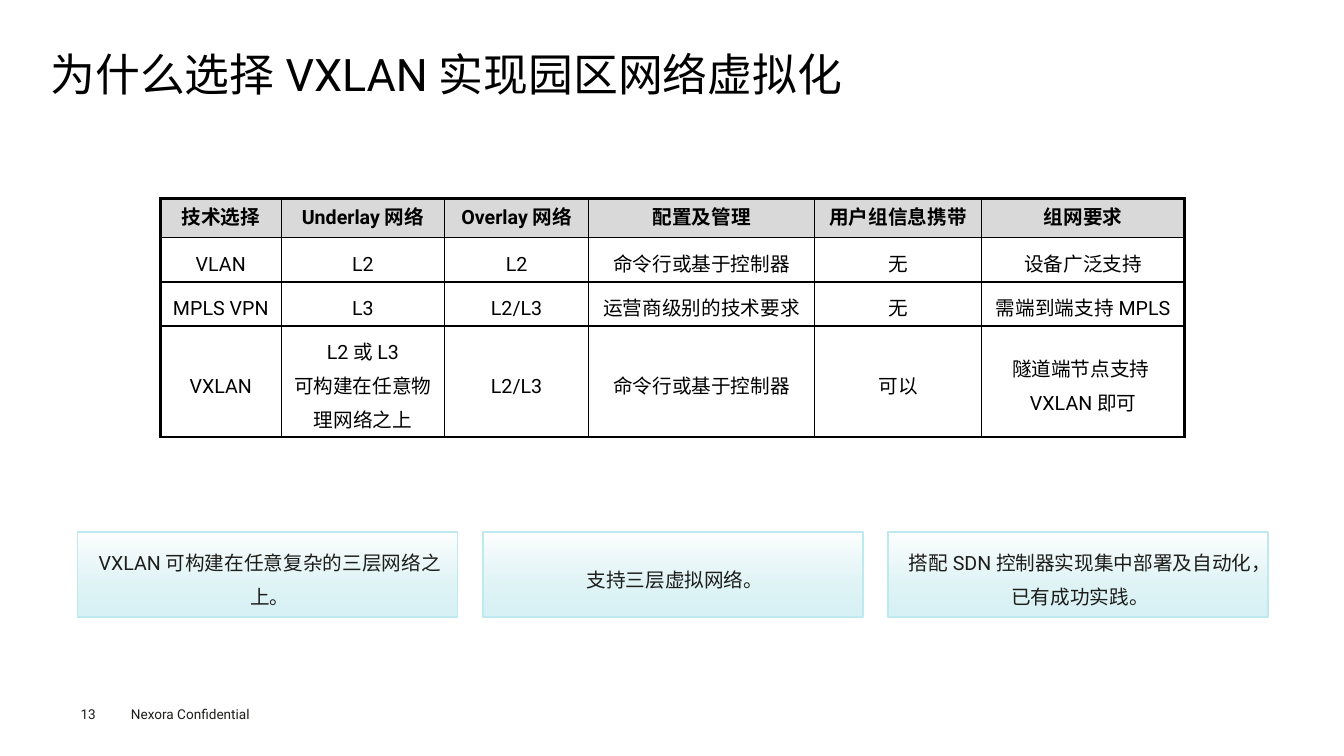
from dataclasses import dataclass

from lxml.etree import SubElement
from pptx import Presentation
from pptx.dml.color import RGBColor
from pptx.enum.lang import MSO_LANGUAGE_ID
from pptx.enum.shapes import MSO_SHAPE
from pptx.enum.text import MSO_ANCHOR, PP_ALIGN
from pptx.oxml.ns import qn
from pptx.slide import Slide
from pptx.table import _Cell
from pptx.text.text import TextFrame
from pptx.util import Inches, Pt

COLORS = {
    "black": "000000",
    "white": "FFFFFF",
    "header": "D9D9D9",
    "aqua": "BEE9EE",
    "body": "1D1D1A",
    "footer": "1D1D1B",
}
FONT = "Roboto"
SLIDE_WIDTH = Inches(13.33)
SLIDE_HEIGHT = Inches(7.5)
COLUMN_SHARES = [9, 12.15, 10.73, 16.8, 12.45, 15.08]
ROW_SHARES = [5.2, 5.83, 5.83, 14.67]
TABLE_ROWS = [
    ["技术选择", "Underlay网络", "Overlay网络", "配置及管理", "用户组信息携带", "组网要求"],
    ["VLAN", "L2", "L2", "命令行或基于控制器", "无", "设备广泛支持"],
    ["MPLS VPN", "L3", "L2/L3", "运营商级别的技术要求", "无", "需端到端支持MPLS"],
    ["VXLAN", "L2或L3\n可构建在任意物理网络之上", "L2/L3", "命令行或基于控制器", "可以", "隧道端节点支持VXLAN即可"],
]
BENEFITS = [
    "VXLAN可构建在任意复杂的三层网络之上。",
    "支持三层虚拟网络。",
    "搭配SDN控制器实现集中部署及自动化，已有成功实践。",
]


@dataclass(frozen=True)
class Area:
    """Position and size in percent of the slide."""
    left: float
    top: float
    width: float
    height: float

    def lengths(self) -> tuple[int, int, int, int]:
        return across(self.left), down(self.top), across(self.width), down(self.height)


@dataclass(frozen=True)
class FooterItem:
    text: str
    area: Area
    margins: tuple[float, float, float, float]


FOOTER_ITEMS = [
    FooterItem("Nexora Confidential", Area(9, 92.67, 12, 3.6), (0.1, 0.05, 0.1, 0.05)),
    FooterItem("13", Area(6, 93.33, 4.13, 2.13), (0, 0, 0, 0)),
]
TITLE_AREA = Area(3.75, 6.53, 92.35, 7.2)
BENEFIT_AREAS = [Area(5.78 + 30.15 * index, 70.4, 28.28, 11.2) for index in range(3)]


def across(percent: float) -> int:
    return round(SLIDE_WIDTH * percent / 100)


def down(percent: float) -> int:
    return round(SLIDE_HEIGHT * percent / 100)


def rgb(name: str) -> RGBColor:
    return RGBColor.from_string(COLORS[name])


def write_text(frame: TextFrame, text: str, *, size: float, color: str, bold: bool = False,
               align: PP_ALIGN = PP_ALIGN.LEFT, spacing: float | Pt | None = None,
               anchor: MSO_ANCHOR = MSO_ANCHOR.MIDDLE,
               margins: tuple[float, float, float, float] | None = None) -> None:
    frame.text = text
    frame.word_wrap = True
    frame.vertical_anchor = anchor
    if margins is not None:
        (frame.margin_left, frame.margin_top,
         frame.margin_right, frame.margin_bottom) = map(Inches, margins)
    for paragraph in frame.paragraphs:
        paragraph.alignment = align
        paragraph.line_spacing = spacing
        for run in paragraph.runs:
            font = run.font
            font.size = Pt(size)
            font.bold = bold
            font.color.rgb = rgb(color)
            font.name = FONT
            font.language_id = MSO_LANGUAGE_ID.SIMPLIFIED_CHINESE
            SubElement(run._r.get_or_add_rPr(), qn("a:ea"), typeface=FONT)


def add_border(cell: _Cell, side: str, width: float) -> None:
    line = SubElement(cell._tc.get_or_add_tcPr(), qn(f"a:ln{side}"), w=str(Pt(width)))
    fill = SubElement(line, qn("a:solidFill"))
    SubElement(fill, qn("a:srgbClr"), val=COLORS["black"])


def add_comparison(slide: Slide) -> None:
    area = Area(11.93, 26.27, sum(COLUMN_SHARES), sum(ROW_SHARES))
    last_row, last_column = len(ROW_SHARES) - 1, len(COLUMN_SHARES) - 1
    table = slide.shapes.add_table(last_row + 1, last_column + 1, *area.lengths()).table
    table.horz_banding = False
    table.first_row = False
    for column, share in zip(table.columns, COLUMN_SHARES):
        column.width = across(share)
    for row, share in zip(table.rows, ROW_SHARES):
        row.height = down(share)
    for row_index, texts in enumerate(TABLE_ROWS):
        is_header = row_index == 0
        for column_index, text in enumerate(texts):
            cell = table.cell(row_index, column_index)
            outer_sides = {"L": column_index == 0, "R": column_index == last_column,
                           "T": is_header, "B": row_index == last_row}
            for side, is_outer in outer_sides.items():
                add_border(cell, side, 2.25 if is_outer else 1)
            if is_header:
                cell.fill.solid()
                cell.fill.fore_color.rgb = rgb("header")
            else:
                cell.fill.background()
            write_text(cell.text_frame, text, size=14, color="black", bold=is_header,
                       align=PP_ALIGN.CENTER, spacing=None if is_header else Pt(24))
            cell.vertical_anchor = MSO_ANCHOR.MIDDLE


def add_benefit(slide: Slide, text: str, area: Area) -> None:
    shape = slide.shapes.add_shape(MSO_SHAPE.RECTANGLE, *area.lengths())
    shape.shadow.inherit = False
    shape.fill.gradient()
    shape.fill.gradient_angle = 270
    for stop, color in zip(shape.fill.gradient_stops, ("white", "aqua")):
        stop.color.rgb = rgb(color)
    end_color = shape._element.spPr.findall(".//" + qn("a:gs"))[-1][0]
    SubElement(end_color, qn("a:alpha"), val="60000")
    shape.line.color.rgb = rgb("aqua")
    shape.line.width = Pt(1)
    write_text(shape.text_frame, text, size=14, color="body", align=PP_ALIGN.CENTER,
               spacing=Pt(24), margins=(0.12, 0.08, 0.08, 0.08))


def add_footer(slide: Slide, item: FooterItem) -> None:
    box = slide.shapes.add_textbox(*item.area.lengths())
    write_text(box.text_frame, item.text, size=9.7, color="footer",
               anchor=MSO_ANCHOR.TOP, margins=item.margins)


def add_title(slide: Slide) -> None:
    title = slide.shapes.title
    title.left, title.top, title.width, title.height = TITLE_AREA.lengths()
    write_text(title.text_frame, "为什么选择VXLAN实现园区网络虚拟化", size=32,
               color="black", spacing=0.9, margins=(0, 0, 0, 0))


def main() -> None:
    presentation = Presentation()
    presentation.slide_width = SLIDE_WIDTH
    presentation.slide_height = SLIDE_HEIGHT
    slide = presentation.slides.add_slide(presentation.slide_layouts[5])
    add_title(slide)
    for text, area in zip(BENEFITS, BENEFIT_AREAS):
        add_benefit(slide, text, area)
    add_comparison(slide)
    for item in FOOTER_ITEMS:
        add_footer(slide, item)
    presentation.save("out.pptx")


if __name__ == "__main__":
    main()
